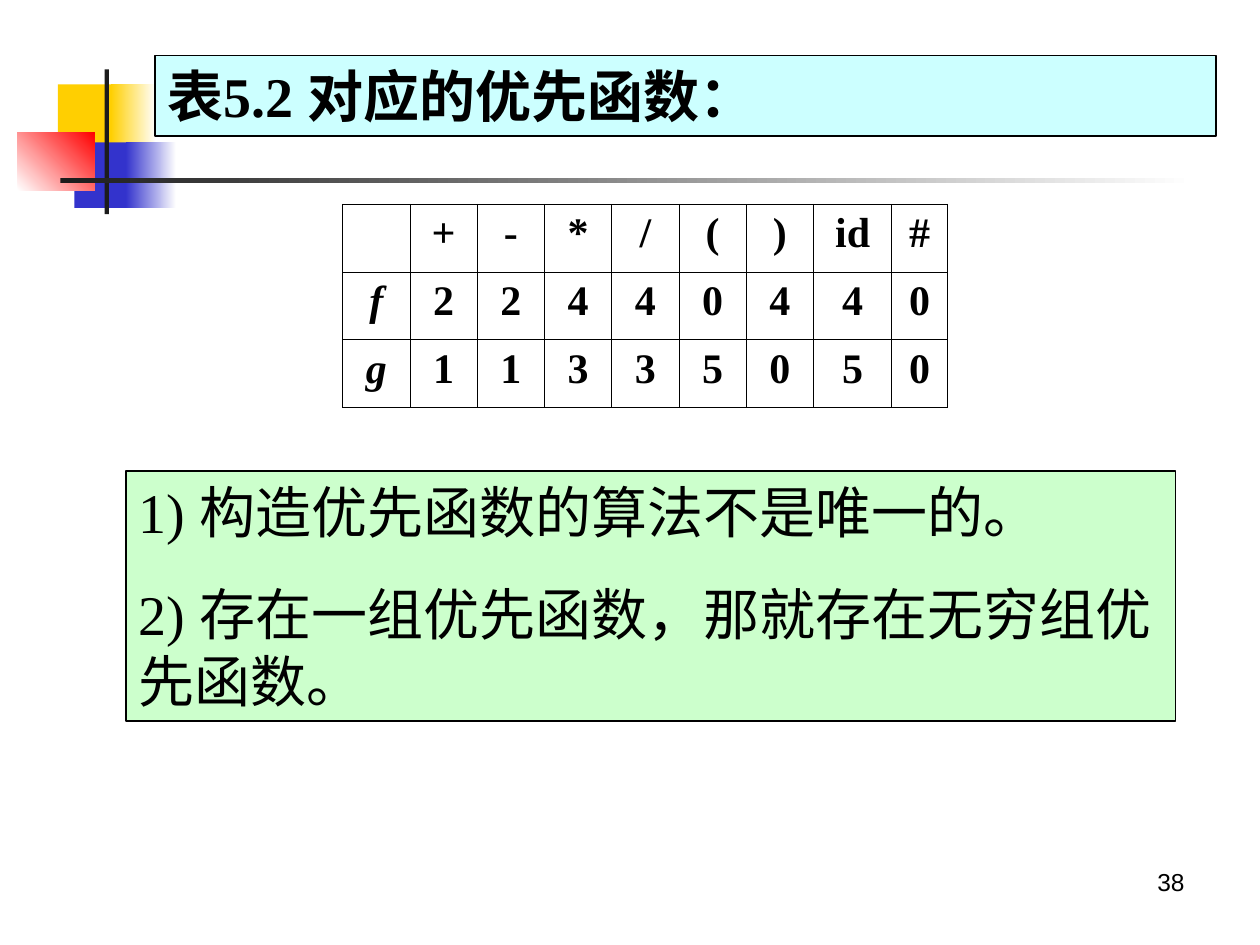
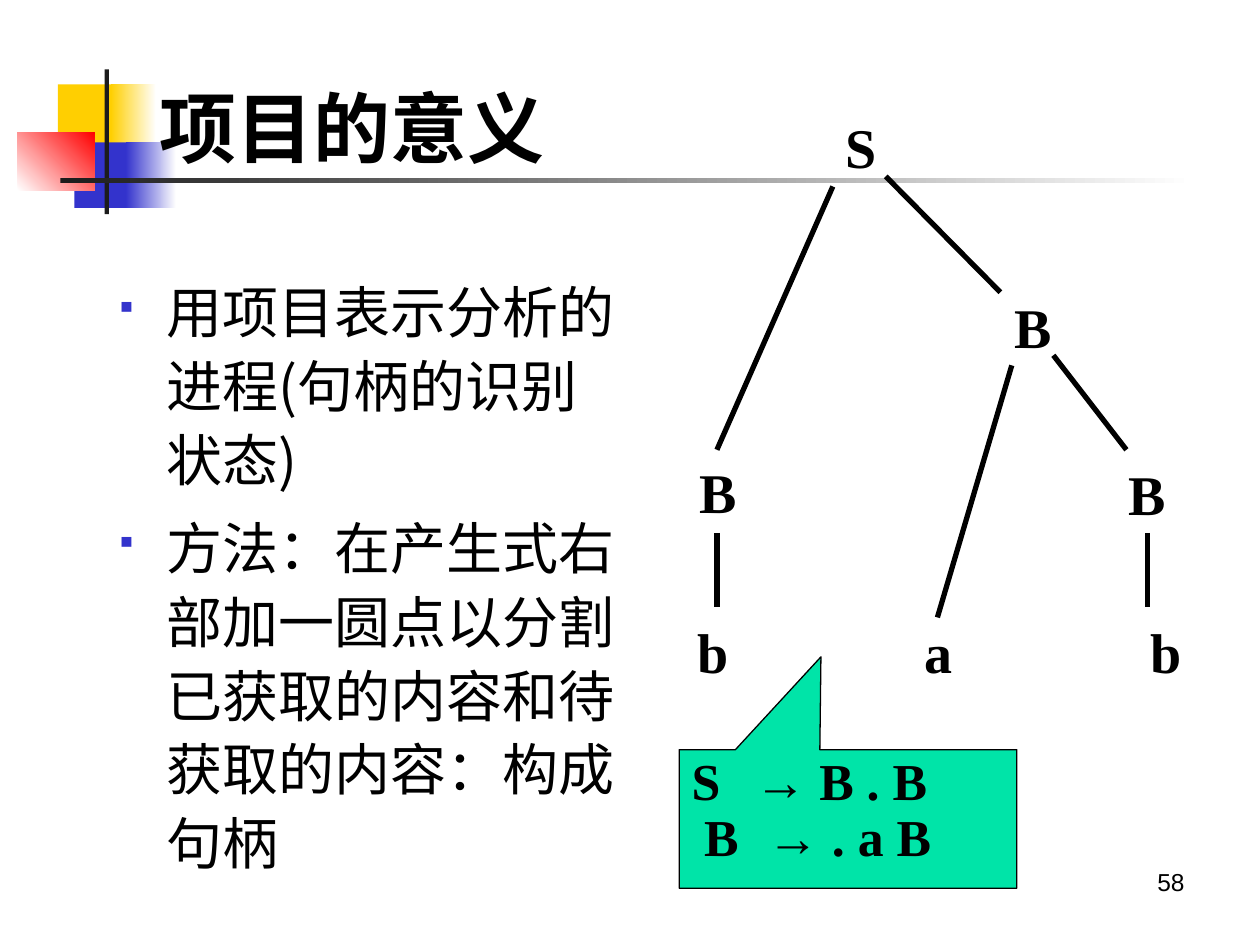
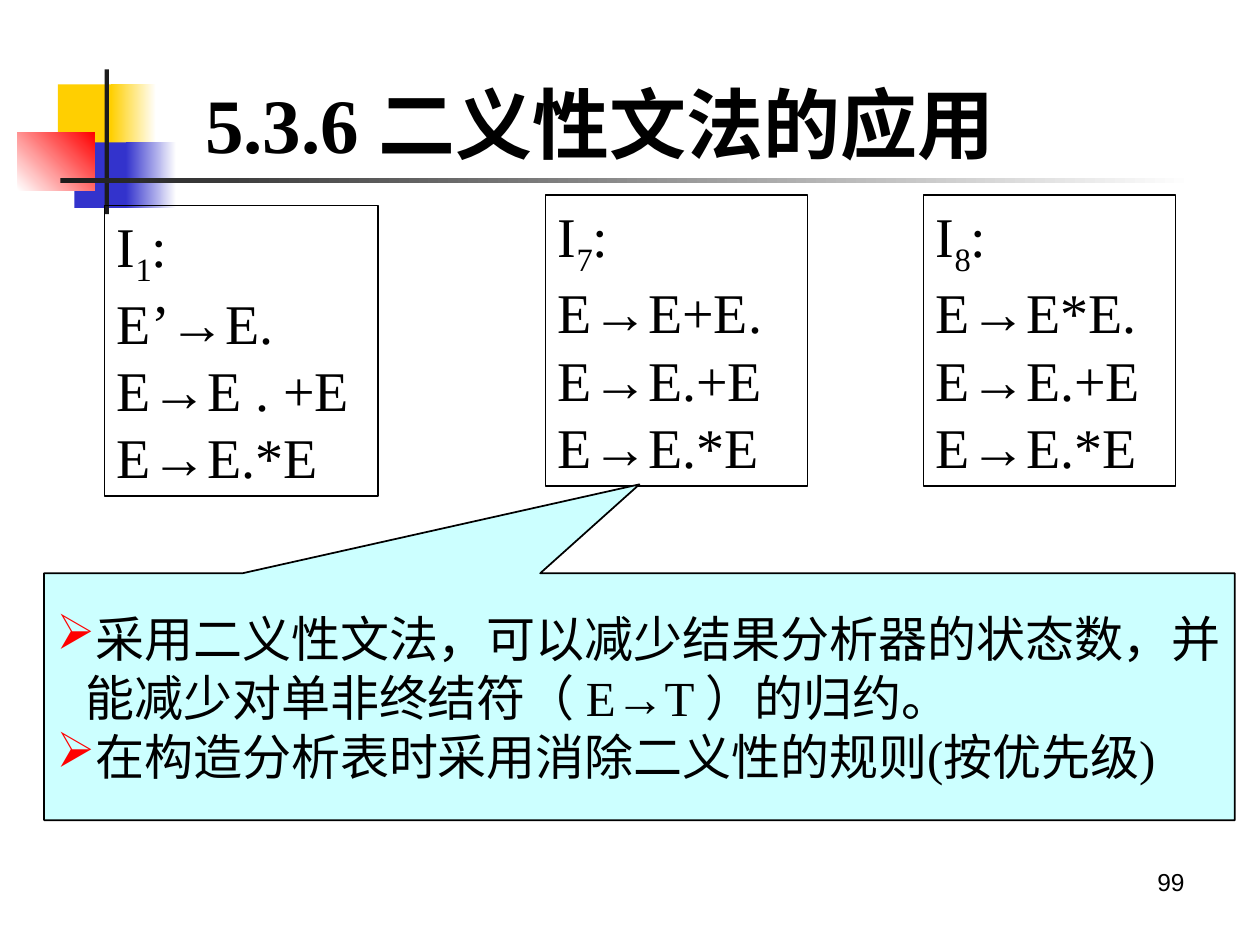
import lxml.etree
import pptx
import pptx.dml.color
import pptx.enum.shapes
import pptx.enum.text
import pptx.oxml.ns
import pptx.util

RGB = pptx.dml.color.RGBColor
SHAPE = pptx.enum.shapes.MSO_SHAPE
ALIGN = pptx.enum.text.PP_ALIGN
ANCHOR = pptx.enum.text.MSO_ANCHOR
qn = pptx.oxml.ns.qn

BLACK = RGB(0, 0, 0)
WHITE = RGB(255, 255, 255)
YELLOW = RGB(0xFF, 0xCF, 0x01)
BLUE = RGB(0x33, 0x33, 0xCC)
RED = RGB(255, 0, 0)
CHARCOAL = RGB(0x1C, 0x1C, 0x1C)
PALE_CYAN = RGB(0xCC, 0xFF, 0xFF)
PALE_GREEN = RGB(0xCC, 0xFF, 0xCC)
MINT = RGB(0x00, 0xE4, 0xA8)

SERIF = "Times New Roman"
SANS = "Arial"
CJK = "Noto Sans CJK SC"

SLIDE_COLS, SLIDE_ROWS = 100, 75
CELL = pptx.util.Inches(0.1)


def grid(*cells):
    return [round(CELL * c) for c in cells]


def style_run(r, size, font=SERIF, bold=False, italic=False):
    r.font.size = pptx.util.Pt(size)
    r.font.bold = bold
    r.font.italic = italic
    r.font.color.rgb = BLACK
    r.font.name = font
    lxml.etree.SubElement(r.font._element, qn("a:ea")).set("typeface", CJK)


def write(shape, lines, size, font=SERIF, bold=False, align=ALIGN.LEFT,
          anchor=ANCHOR.TOP, wrap=True, gap=0, spacing=1.0):
    tf = shape.text_frame
    tf.word_wrap = wrap
    tf.vertical_anchor = anchor
    tf.text = "\n".join(lines)
    for i, p in enumerate(tf.paragraphs):
        p.alignment = align
        p.line_spacing = spacing
        if i:
            p.space_before = pptx.util.Pt(gap)
        for r in p.runs:
            style_run(r, size, font, bold)
    return tf


def add_text(s, at, lines, size, **style):
    box = s.shapes.add_textbox(*grid(*at))
    return write(box, lines, size, **style)


def add_block(s, at, fill=None, fade=None, angle=0, line=None, kind=SHAPE.RECTANGLE):
    sp = s.shapes.add_shape(kind, *grid(*at))
    sp.shadow.inherit = False
    if fade:
        sp.fill.gradient()
        sp.fill.gradient_angle = angle
        for stop, color, position in zip(sp.fill.gradient_stops, (fill, fade), (0, 1)):
            stop.color.rgb = color
            stop.position = position
    elif fill:
        sp.fill.solid()
        sp.fill.fore_color.rgb = fill
    else:
        sp.fill.background()
    if line:
        sp.line.color.rgb = BLACK
        sp.line.width = pptx.util.Pt(line)
    else:
        sp.line.fill.background()
    return sp


def add_callout(s, at, fill, line, tip):
    sp = add_block(s, at, fill, line=line, kind=SHAPE.RECTANGULAR_CALLOUT)
    sp.adjustments[0], sp.adjustments[1] = tip
    return sp


def add_line(s, start, end):
    c = s.shapes.add_connector(pptx.enum.shapes.MSO_CONNECTOR.STRAIGHT, *grid(*start, *end))
    c.line.color.rgb = BLACK
    c.line.width = pptx.util.Pt(3)
    lxml.etree.SubElement(c._element.spPr, qn("a:effectLst"))


def add_child(parent, tag, **attributes):
    child = lxml.etree.SubElement(parent, qn(tag))
    for name, value in attributes.items():
        child.set(name, str(value))
    return child


def set_bullets(tf, char, color, margin, hang, percent=100):
    for p in tf.paragraphs:
        pPr = p._p.get_or_add_pPr()
        left, indent = grid(margin, -hang)
        pPr.set("marL", str(left))
        pPr.set("indent", str(indent))
        add_child(add_child(pPr, "a:buClr"), "a:srgbClr", val=color)
        add_child(pPr, "a:buSzPct", val=percent * 1000)
        add_child(pPr, "a:buFont", typeface="Wingdings")
        add_child(pPr, "a:buChar", char=char)


def set_tab(p, margin, stop):
    pPr = p._p.get_or_add_pPr()
    left, pos = grid(margin, stop)
    pPr.set("marL", str(left))
    pPr.set("indent", "0")
    add_child(add_child(pPr, "a:tabLst"), "a:tab", pos=pos, algn="l")


def set_borders(cell, width):
    tcPr = cell._tc.get_or_add_tcPr()
    for i, side in enumerate(("a:lnL", "a:lnR", "a:lnT", "a:lnB")):
        ln = lxml.etree.Element(qn(side))
        ln.set("w", str(pptx.util.Pt(width)))
        add_child(add_child(ln, "a:solidFill"), "a:srgbClr", val=BLACK)
        tcPr.insert(i, ln)


def add_table(s, left, top, widths, height, rows):
    at = grid(left, top, sum(widths), height * len(rows))
    table = s.shapes.add_table(len(rows), len(widths), *at).table
    table.first_row = table.horz_banding = False
    for column, width in zip(table.columns, widths):
        column.width = grid(width)[0]
    for i, row in enumerate(rows):
        table.rows[i].height = grid(height)[0]
        for j, value in enumerate(row):
            cell = table.cell(i, j)
            cell.fill.background()
            set_borders(cell, 0.45)
            p = cell.text_frame.paragraphs[0]
            p.text = value
            p.alignment = ALIGN.CENTER
            for r in p.runs:
                style_run(r, 24, bold=True, italic=value.isalpha() and j == 0)


def add_title(s, at, text):
    add_text(s, at, [text], 44, bold=True, anchor=ANCHOR.MIDDLE)


def add_state(s, at, number, items):
    sp = add_block(s, at, line=1)
    tf = write(sp, ["I"] + items, 32)
    p = tf.paragraphs[0]
    for text in (number, ":"):
        r = p.add_run()
        r.text = text
        style_run(r, 32)
    p.runs[1].font._element.set("baseline", "-25000")


def new_slide(prs, number):
    s = prs.slides.add_slide(prs.slide_layouts[6])
    add_block(s, (4.6, 6.7, 4.8, 5.2), YELLOW)
    add_block(s, (8.8, 6.7, 3.6, 5.2), YELLOW, WHITE)
    add_block(s, (5.9, 11.3, 4.6, 5.2), BLUE)
    add_block(s, (10, 11.3, 4, 5.2), BLUE, WHITE)
    add_block(s, (1.4, 10.5, 6.1, 4.6), WHITE, RED, angle=45)
    add_block(s, (8.3, 5.5, 0.35, 11.5), CHARCOAL)
    add_block(s, (4.8, 14.15, 90, 0.4), CHARCOAL, WHITE)
    add_text(s, (71.7, 68.3, 23.3, 5.2), [number], 14, font=SANS, align=ALIGN.RIGHT)
    return s


def priority_slide(prs):
    s = new_slide(prs, "38")
    heading = add_block(s, (12.3, 4.4, 84.2, 6.4), PALE_CYAN, line=1)
    write(heading, ["表5.2 对应的优先函数："], 32, bold=True)
    notes = add_block(s, (10, 37.4, 83.3, 19.8), PALE_GREEN, line=1)
    write(notes, ["1) 构造优先函数的算法不是唯一的。",
                  "2) 存在一组优先函数，那就存在无穷组优先函数。"], 32, gap=20)
    rows = [["", "+", "-", "*", "/", "(", ")", "id", "#"],
            ["f", *"22440440"],
            ["g", *"11335050"]]
    add_table(s, 27.2, 16.2, [5.34] * 7 + [6.2, 4.45], 5.38, rows)


def item_slide(prs):
    s = new_slide(prs, "58")
    add_title(s, (11.7, 3.8, 34.2, 12.5), "项目的意义")
    tf = add_text(s, (7.5, 21, 43.2, 44.8),
                  ["用项目表示分析的进程(句柄的识别状态)",
                   "方法：在产生式右部加一圆点以分割已获取的内容和待获取的内容：构成句柄"],
                  32, font=CJK, gap=8, spacing=1.1)
    set_bullets(tf, "§", BLUE, 4.7, 3.75, 60)

    nodes = [("b", 54.4, 48.5), ("a", 72.4, 48.5), ("b", 90.3, 48.5), ("B", 54.5, 35.8),
             ("B", 88.6, 36), ("B", 79.5, 22.7), ("S", 66.1, 8.4)]
    for label, col, row in nodes:
        add_text(s, (col, row, 4.9, 6.4), [label], 32, bold=True, wrap=False)
    edges = [((56.9, 42.3), (56.9, 48.2)), ((91.1, 42.3), (91.1, 48.2)),
             ((66.1, 14.8), (56.9, 35.7)), ((80.3, 29), (74.4, 49)),
             ((83.6, 28.2), (89.4, 35.7)), ((70.3, 14), (79.4, 23.2))]
    for start, end in edges:
        add_line(s, start, end)

    callout = add_callout(s, (53.9, 59.5, 26.8, 11), MINT, 0.75, (-0.08, -1.17))
    tf = write(callout, ["S\t→ B . B", "B\t→ . a B"], 29.6, bold=True, spacing=0.9)
    for p, margin, stop in zip(tf.paragraphs, (0, 1), (5, 6.5)):
        set_tab(p, margin, stop)


def ambiguity_slide(prs):
    s = new_slide(prs, "99")
    add_title(s, (15.3, 6.4, 80.5, 6.7), "5.3.6 二义性文法的应用")
    add_state(s, (8.3, 16.3, 21.7, 23.1), "1", ["E’→E.", "E→E . +E", "E→E.*E"])
    shift_items = "E→E.+E E→E.*E"
    add_state(s, (43.3, 15.5, 20.8, 23.1), "7", ["E→E+E.", shift_items])
    add_state(s, (73.3, 15.5, 20, 23.1), "8", ["E→E*E.", shift_items])
    callout = add_callout(s, (3.5, 45.5, 94.5, 19.6), PALE_CYAN, 1, (0, -0.86))
    tf = write(callout, ["采用二义性文法，可以减少结果分析器的状态数，并能减少对单非终结符（ E→T ）的归约。",
                         "在构造分析表时采用消除二义性的规则(按优先级)"],
               28, anchor=ANCHOR.MIDDLE)
    set_bullets(tf, "Ø", RED, 2.3, 2.3)


def main():
    prs = pptx.Presentation()
    prs.slide_width, prs.slide_height = grid(SLIDE_COLS, SLIDE_ROWS)
    priority_slide(prs)
    item_slide(prs)
    ambiguity_slide(prs)
    prs.save("out.pptx")


if __name__ == "__main__":
    main()
